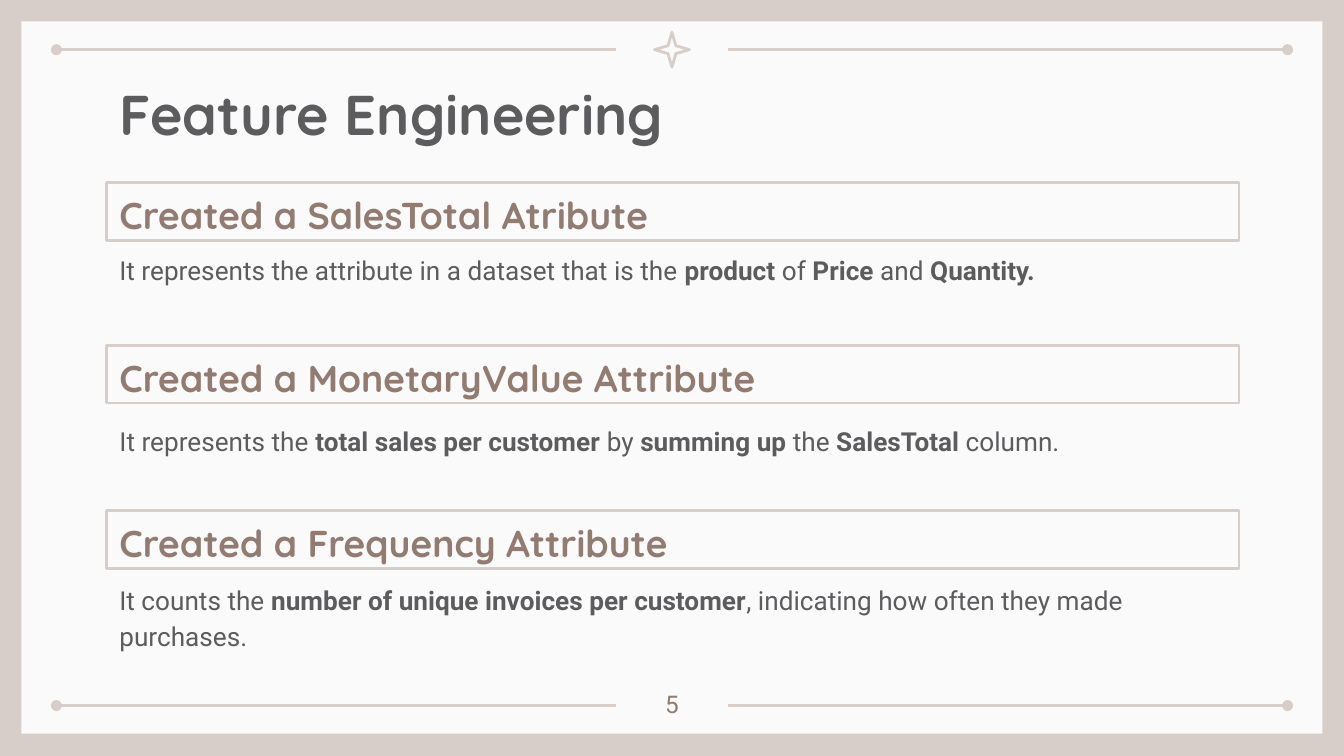
from lxml import etree
from pptx import Presentation
from pptx.dml.color import RGBColor
from pptx.enum import shapes, text
from pptx.oxml.ns import qn
from pptx.util import Inches, Pt

FRAME, PANEL = "D8CEC9", "FAFAFA"
DARK, BROWN = "5C5C5F", "927C71"
LEFT, WIDTH = 0.79, 8.43

# Heading, heading top, body box (top, width, height, vertical inset, anchor),
# line spacing, body text with bold parts between asterisks
SECTIONS = [
    ("Created a SalesTotal Atribute", 1.36,
     (1.76, WIDTH, 0.58, 0.1, text.MSO_ANCHOR.TOP), 1.15,
     "It represents the attribute in a dataset that is the *product* of "
     "*Price* and *Quantity.*"),
    ("Created a MonetaryValue Attribute", 2.57,
     (3.11, 7.92, 0.34, 0.05, text.MSO_ANCHOR.MIDDLE), 1,
     "It represents the *total sales per customer *by *summing up *the "
     "*SalesTotal* column."),
    ("Created a Frequency Attribute", 3.8,
     (4.21, WIDTH, 0.58, 0.1, text.MSO_ANCHOR.TOP), 1.15,
     "It counts the *number of unique invoices per customer*, indicating "
     "how often they made purchases."),
]


def color(value):
    return RGBColor.from_string(value)


def style_line(shape, **ends):
    """Draw a rounded frame-coloured line; ends may give headEnd or tailEnd types."""
    shape.line.color.rgb = color(FRAME)
    shape.line.width = Pt(1.5)
    outline = shape.line._get_or_add_ln()
    etree.SubElement(outline, qn("a:round"))
    for end, kind in ends.items():
        etree.SubElement(outline, qn(f"a:{end}"), type=kind)


def add_rule(page, start, stop, y, dotted_end):
    rule = page.shapes.add_connector(
        shapes.MSO_CONNECTOR.STRAIGHT,
        Inches(start), Inches(y), Inches(stop), Inches(y))
    style_line(rule, **{dotted_end: "oval"})
    etree.SubElement(rule._element.spPr, qn("a:effectLst"))


def add_outline(page, kind, left, top, width, height):
    shape = page.shapes.add_shape(
        kind, Inches(left), Inches(top), Inches(width), Inches(height))
    shape.shadow.inherit = False
    shape.fill.background()
    style_line(shape)
    return shape


def set_text(shape, content, font, size, hue, bold=None, spacing=1,
             inset=0.1, anchor=text.MSO_ANCHOR.TOP, align=text.PP_ALIGN.LEFT):
    """Fill a shape with one paragraph; parts between asterisks are bold."""
    frame = shape.text_frame
    frame.word_wrap = True
    frame.auto_size = text.MSO_AUTO_SIZE.NONE
    frame.vertical_anchor = anchor
    frame.margin_left = frame.margin_right = Inches(0.1)
    frame.margin_top = frame.margin_bottom = Inches(inset)
    para = frame.paragraphs[0]
    para.alignment = align
    para.line_spacing = spacing
    para.font.name, para.font.size, para.font.bold = font, Pt(size), bold
    para.font.color.rgb = color(hue)
    for index, part in enumerate(content.split("*")):
        if part:
            span = para.add_run()
            span.text = part
            # Runs carry the font so that placeholder defaults do not win
            span.font.name, span.font.size = font, Pt(size)
            span.font.bold = True if index % 2 else bold
            span.font.color.rgb = color(hue)


def add_text(page, left, top, width, height, content, *style, **options):
    box = page.shapes.add_textbox(
        Inches(left), Inches(top), Inches(width), Inches(height))
    set_text(box, content, *style, **options)


def add_frame(page):
    page.background.fill.solid()
    page.background.fill.fore_color.rgb = color(FRAME)
    panel = page.shapes.add_shape(
        shapes.MSO_SHAPE.RECTANGLE,
        Inches(0.16), Inches(0.16), Inches(9.68), Inches(5.3))
    panel.shadow.inherit = False
    panel.fill.solid()
    panel.fill.fore_color.rgb = color(PANEL)
    panel.line.fill.background()
    for y in (0.37, 5.25):
        add_rule(page, 0.42, 4.58, y, "headEnd")
        add_rule(page, 5.42, 9.58, y, "tailEnd")
    star = add_outline(page, shapes.MSO_SHAPE.STAR_4_POINT, 4.87, 0.24, 0.26, 0.26)
    star.adjustments[0] = 0.16


def place_title(page, content):
    title = page.shapes.title
    title.left, title.top = Inches(LEFT), Inches(0.49)
    title.width, title.height = Inches(WIDTH), Inches(0.63)
    set_text(title, content, "Quicksand", 30, DARK, bold=True)
    page.shapes._spTree.append(title._element)  # in front of the panel


def add_section(page, heading, top, body_box, spacing, body):
    box = add_outline(page, shapes.MSO_SHAPE.RECTANGLE, LEFT, top, WIDTH, 0.43)
    set_text(box, heading, "Quicksand", 20, BROWN, bold=True, spacing=1.15,
             anchor=text.MSO_ANCHOR.MIDDLE)
    body_top, width, height, inset, anchor = body_box
    add_text(page, LEFT, body_top, width, height, body, "Roboto", 14, DARK,
             spacing=spacing, inset=inset, anchor=anchor)


def main():
    deck = Presentation()
    deck.slide_width = Inches(10)
    deck.slide_height = Inches(10) * 9 // 16
    page = deck.slides.add_slide(deck.slide_layouts.get_by_name("Title Only"))
    add_frame(page)
    place_title(page, "Feature Engineering")
    for section in SECTIONS:
        add_section(page, *section)
    add_text(page, 4.7, 5.03, 0.6, 0.36, "5", "Roboto", 13, BROWN,
             align=text.PP_ALIGN.CENTER)
    deck.save("out.pptx")


if __name__ == "__main__":
    main()
